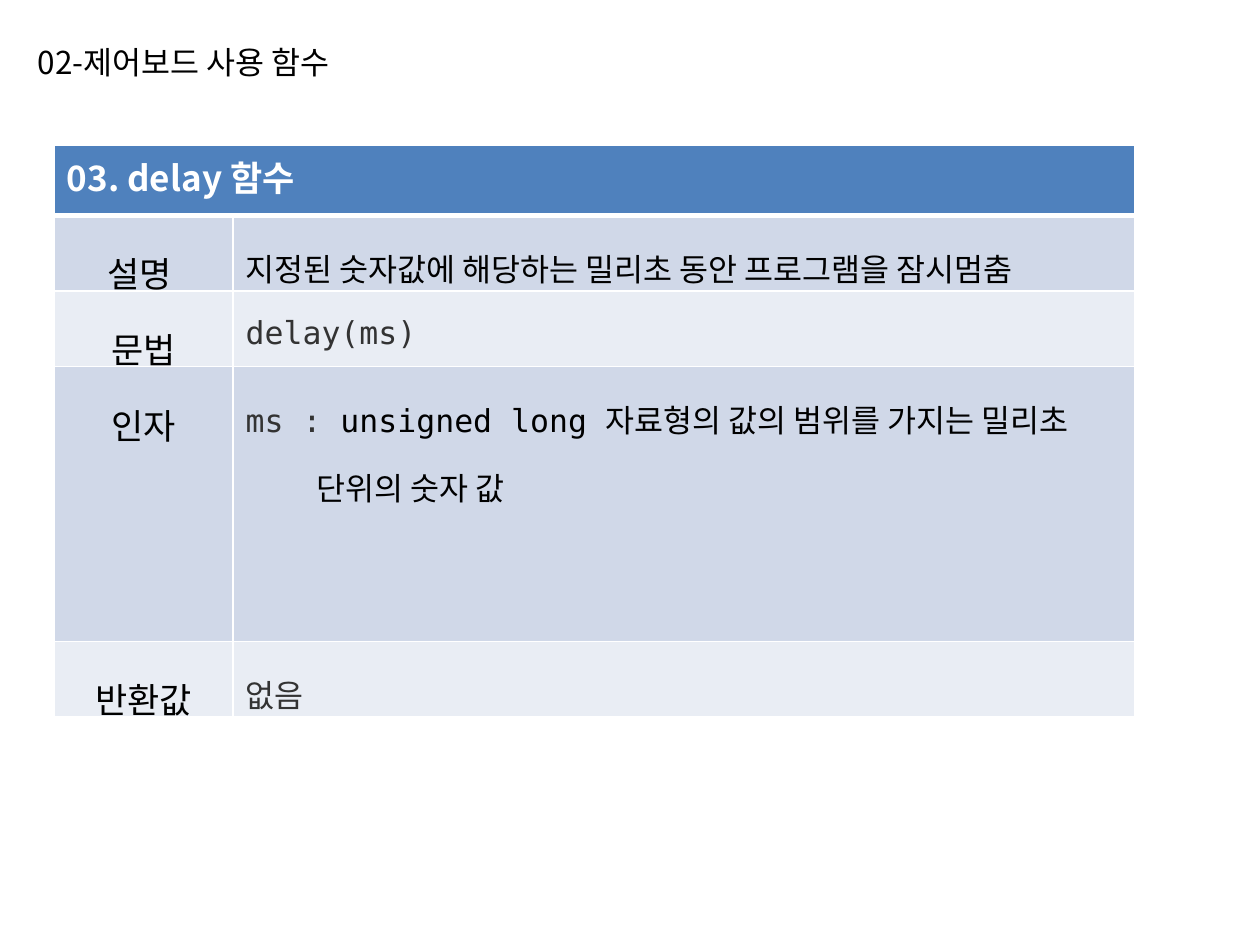
import pptx
import pptx.util
import pptx.oxml.ns
from pptx.dml.color import RGBColor
from pptx.enum.text import MSO_ANCHOR, MSO_AUTO_SIZE, PP_ALIGN
from lxml import etree

Inches, Pt, qn = pptx.util.Inches, pptx.util.Pt, pptx.oxml.ns.qn

# Content
TITLE = "02-제어보드 사용 함수"
HEADER = "03. delay 함수"
SANS, MONO = "Noto Sans CJK KR", "DejaVu Sans Mono"
COLORS = {"black": "000000", "code": "333333", "white": "FFFFFF",
          "header": "4F81BD", "dark": "D0D8E8", "light": "E9EDF4"}

# Label, then paragraphs of (left indent, runs of (text, font, colour))
ROWS = [
    ("설명 ", [(0, [("지정된 숫자값에 해당하는 밀리초 동안 프로그램을 잠시멈춤", SANS, "black")])]),
    ("문법", [(0, [("delay(ms)", MONO, "code")])]),
    ("인자", [
        (0, [("ms : ", MONO, "code"),
             ("unsigned long ", MONO, "black"),
             ("자료형의 값의 범위를 가지는 밀리초", SANS, "black")]),
        (0.56, [("단위의 숫자 값", SANS, "black")]),
    ]),
    ("반환값", [(0, [("없음", MONO, "code")])]),
]
COL_WIDTHS = [1.42, 7.16]
ROW_HEIGHTS = [0.56, 0.56, 0.56, 2.18, 0.56]


def add_run(p, text, size, font=SANS, color="black", bold=False):
    r = p.add_run()
    r.text = text
    r.font.size, r.font.name, r.font.bold = Pt(size), font, bold
    r.font.color.rgb = RGBColor.from_string(COLORS[color])
    ea = etree.SubElement(r.font._element, qn("a:ea"))
    ea.set("typeface", SANS)


def style_cell(cell, fill, bottom=1):
    """Add white borders, then the fill, which must follow them."""
    tcPr = cell._tc.get_or_add_tcPr()
    for side, width in (("L", 1), ("R", 1), ("T", 1), ("B", bottom)):
        ln = etree.SubElement(tcPr, qn("a:ln" + side), w=str(Pt(width)))
        solid = etree.SubElement(ln, qn("a:solidFill"))
        etree.SubElement(solid, qn("a:srgbClr"), val=COLORS["white"])
    cell.fill.solid()
    cell.fill.fore_color.rgb = RGBColor.from_string(COLORS[fill])


prs = pptx.Presentation()
prs.slide_width, prs.slide_height = Inches(10), Inches(7.5)
s = prs.slides.add_slide(prs.slide_layouts[5])

# Title
title = s.shapes.title
title.left, title.top = Inches(0.2), Inches(0.29)
title.width, title.height = Inches(2.78), Inches(0.4)
tf = title.text_frame
tf.word_wrap = False
tf.auto_size = MSO_AUTO_SIZE.SHAPE_TO_FIT_TEXT
tf.vertical_anchor = MSO_ANCHOR.TOP
tf.paragraphs[0].alignment = PP_ALIGN.LEFT
add_run(tf.paragraphs[0], TITLE, 18)

# Table grid
table = s.shapes.add_table(
    len(ROW_HEIGHTS), len(COL_WIDTHS), Inches(0.43), Inches(1.15),
    Inches(sum(COL_WIDTHS)), Inches(sum(ROW_HEIGHTS))).table
for col, width in zip(table.columns, COL_WIDTHS):
    col.width = Inches(width)
for row, height in zip(table.rows, ROW_HEIGHTS):
    row.height = Inches(height)

# Header row
table.cell(0, 0).merge(table.cell(0, 1))
for cell in table.rows[0].cells:
    style_cell(cell, "header", bottom=3)
add_run(table.cell(0, 0).text_frame.paragraphs[0], HEADER, 20, color="white", bold=True)

# Body rows
for i, (label, paragraphs) in enumerate(ROWS, start=1):
    label_cell, text_cell = table.rows[i].cells
    for cell in (label_cell, text_cell):
        style_cell(cell, "dark" if i % 2 else "light")
    p = label_cell.text_frame.paragraphs[0]
    p.alignment, p.line_spacing = PP_ALIGN.CENTER, 1.5
    add_run(p, label, 20)
    tf = text_cell.text_frame
    for n, (indent, runs) in enumerate(paragraphs):
        p = tf.add_paragraph() if n else tf.paragraphs[0]
        p.line_spacing = 1.5
        if indent:
            p._p.get_or_add_pPr().set("marL", str(Inches(indent)))
        for text, font, color in runs:
            add_run(p, text, 18, font, color)

prs.save("out.pptx")
